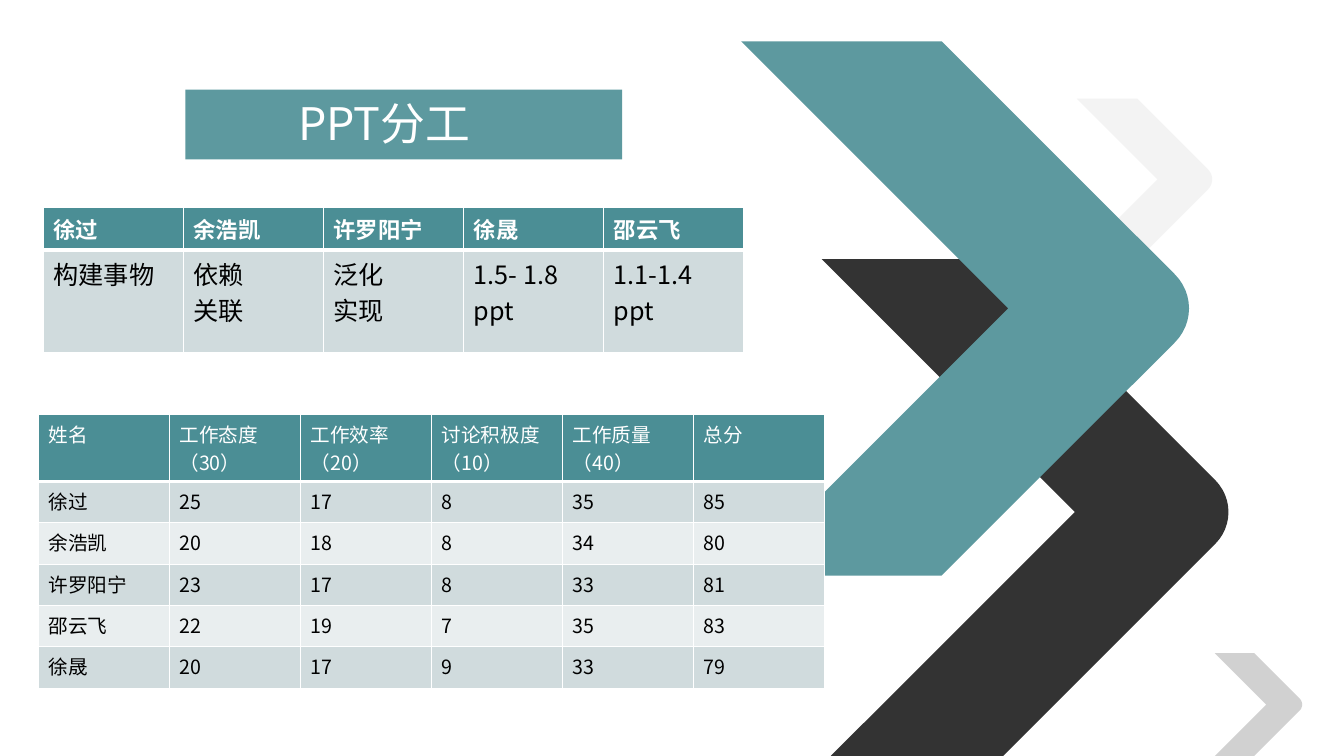
from dataclasses import dataclass

from lxml import etree
from pptx import Presentation
from pptx.dml.color import RGBColor
from pptx.enum.shapes import MSO_SHAPE
from pptx.enum.text import MSO_ANCHOR, MSO_AUTO_SIZE, PP_ALIGN
from pptx.oxml.ns import qn
from pptx.util import Inches, Pt

RECTANGLE = MSO_SHAPE.RECTANGLE
MIDDLE = MSO_ANCHOR.MIDDLE
NO_AUTOFIT = MSO_AUTO_SIZE.NONE
CENTER = PP_ALIGN.CENTER
TITLE_ONLY = 5
CURVE_STEPS = 12
CURVE_PULL = 0.56


@dataclass(frozen=True)
class Theme:
    font: str = "Noto Sans CJK SC"
    teal: str = "5D999F"
    header: str = "4B8E95"
    bands: tuple = ("D0DBDD", "E9EEEF")
    white: str = "FFFFFF"
    black: str = "000000"
    pale: str = "F2F2F2"
    grey: str = "CCCCCC"
    title_size: int = 32
    duty_header_size: int = 16
    duty_size: int = 18
    score_size: int = 14


THEME = Theme()

CHEVRONS = [
    ((10.68, 0.98, 0.6, 1.78, 2.58, 0.1), THEME.pale, 90),
    ((8.15, 2.57, 1.71, 5.08, 7.5, 0.32), THEME.black, 80),
    ((7.35, 0.41, 1.99, 3.06, 5.71, 0.34), THEME.teal, 100),
    ((12.05, 6.48, 0.39, 6.99, 7.5, 0.06), THEME.grey, 90),
    ((1.66, 5.96, 0.3, 6.36, 6.76, 0.05), THEME.pale, 90),
]
DUTIES = [
    ["徐过", "余浩凯", "许罗阳宁", "徐晟", "邵云飞"],
    ["构建事物", "依赖\n关联", "泛化\n实现", "1.5- 1.8\nppt", "1.1-1.4\nppt"],
]
SCORES = [
    ["姓名", "工作态度\n（30）", "工作效率\n（20）", "讨论积极度\n（10）", "工作质量\n（40）", "总分"],
    ["徐过", "25", "17", "8", "35", "85"],
    ["余浩凯", "20", "18", "8", "34", "80"],
    ["许罗阳宁", "23", "17", "8", "33", "81"],
    ["邵云飞", "22", "19", "7", "35", "83"],
    ["徐晟", "20", "17", "9", "33", "79"],
]


def set_attributes(target, values):
    for name, value in values.items():
        setattr(target, name, value)


def paint(fill, color, opacity=100):
    fill.solid()
    fill.fore_color.rgb = RGBColor.from_string(color)
    if opacity < 100:
        node = fill._xPr.find(qn("a:solidFill"))[0]
        etree.SubElement(node, qn("a:alpha"), val=str(opacity * 1000))


def write_text(frame, text, size, color, bold=False, align=None):
    frame.text = text
    for para in frame.paragraphs:
        para.alignment = align
        for span in para.runs:
            set_attributes(span.font, {"name": THEME.font, "size": Pt(size), "bold": bold})
            span.font.color.rgb = RGBColor.from_string(color)
            etree.SubElement(span.font._element, qn("a:ea"), typeface=THEME.font)


def rounded_tip(x, middle, cut):
    pull = cut * CURVE_PULL
    for step in range(CURVE_STEPS + 1):
        t = step / CURVE_STEPS
        bulge = 3 * t * (1 - t) * pull
        rise = cut * ((1 - t) ** 3 - t ** 3) + 3 * t * (1 - t) * (1 - 2 * t) * (cut - pull)
        yield x + bulge, middle - rise


def add_chevron(page, box, color, opacity):
    left, top, width, middle, bottom, cut = box
    notch = left + middle - top
    foot = notch - (bottom - middle)
    points = [
        (left, top),
        (left + width, top),
        *rounded_tip(notch + width - cut, middle, cut),
        (foot + width, bottom),
        (foot, bottom),
        (notch, middle),
    ]
    corners = [(Inches(x), Inches(y)) for x, y in points]
    builder = page.shapes.build_freeform(*corners[0])
    builder.add_line_segments(corners[1:], close=True)
    chevron = builder.convert_to_shape()
    chevron.shadow.inherit = False
    chevron.line.fill.background()
    paint(chevron.fill, color, opacity)


def add_title(page, box, text):
    left, top, width, height = box
    band = page.shapes.add_shape(RECTANGLE, *map(Inches, box))
    band.shadow.inherit = False
    band.line.fill.background()
    paint(band.fill, THEME.teal)
    title = page.shapes.title
    set_attributes(title, {
        "left": Inches(left + 0.12),
        "top": Inches(top + 0.01),
        "width": Inches(width - 0.63),
        "height": Inches(height - 0.05),
    })
    set_attributes(title.text_frame, {
        "auto_size": NO_AUTOFIT, "vertical_anchor": MIDDLE, "word_wrap": True,
    })
    write_text(title.text_frame, text, THEME.title_size, THEME.white, align=CENTER)
    band._element.addnext(title._element)


def add_borders(cell, bottom, top):
    properties = cell._tc.get_or_add_tcPr()
    sides = {"lnL": 1, "lnR": 1, "lnT": top, "lnB": bottom}
    for index, (side, points) in enumerate(sides.items()):
        line = etree.Element(qn("a:" + side), w=str(Pt(points)))
        fill = etree.SubElement(line, qn("a:solidFill"))
        etree.SubElement(fill, qn("a:srgbClr"), val=THEME.white)
        properties.insert(index, line)


def add_grid(page, box, rows, heights, header_size, body_size, header_bold):
    frame = page.shapes.add_table(len(rows), len(rows[0]), *map(Inches, box))
    grid = frame.table
    for row, height in zip(grid.rows, heights):
        row.height = Inches(height)
    frame.height = Inches(box[3])
    for index, values in enumerate(rows):
        is_header = index == 0
        color = THEME.header if is_header else THEME.bands[(index - 1) % 2]
        for column, text in enumerate(values):
            cell = grid.cell(index, column)
            paint(cell.fill, color)
            add_borders(cell, 3 if is_header else 1, 3 if index == 1 else 1)
            write_text(
                cell.text_frame,
                text,
                header_size if is_header else body_size,
                THEME.white if is_header else THEME.black,
                is_header and header_bold,
            )


def build_page(deck):
    page = deck.slides.add_slide(deck.slide_layouts[TITLE_ONLY])
    for box, color, opacity in CHEVRONS:
        add_chevron(page, box, color, opacity)
    add_grid(page, (0.43, 2.06, 6.95, 1.39), DUTIES, [0.37, 1.02],
             THEME.duty_header_size, THEME.duty_size, True)
    add_title(page, (1.84, 0.89, 4.33, 0.69), "PPT分工")
    add_grid(page, (0.38, 4.11, 7.8, 2.59), SCORES, [0.41] * len(SCORES),
             THEME.score_size, THEME.score_size, False)


def main():
    deck = Presentation()
    set_attributes(deck, {"slide_width": Inches(13.33), "slide_height": Inches(7.5)})
    build_page(deck)
    deck.save("out.pptx")


if __name__ == "__main__":
    main()
